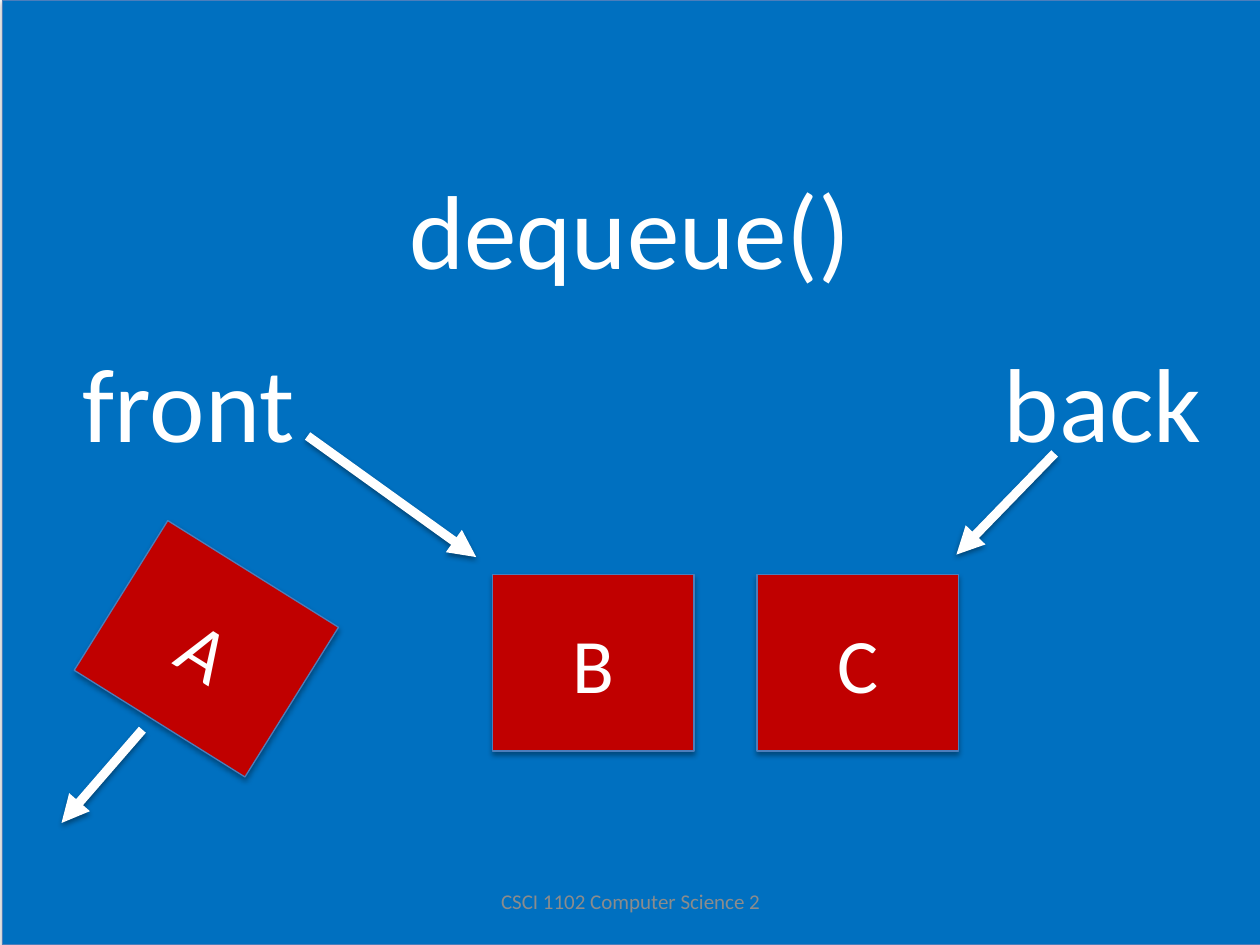
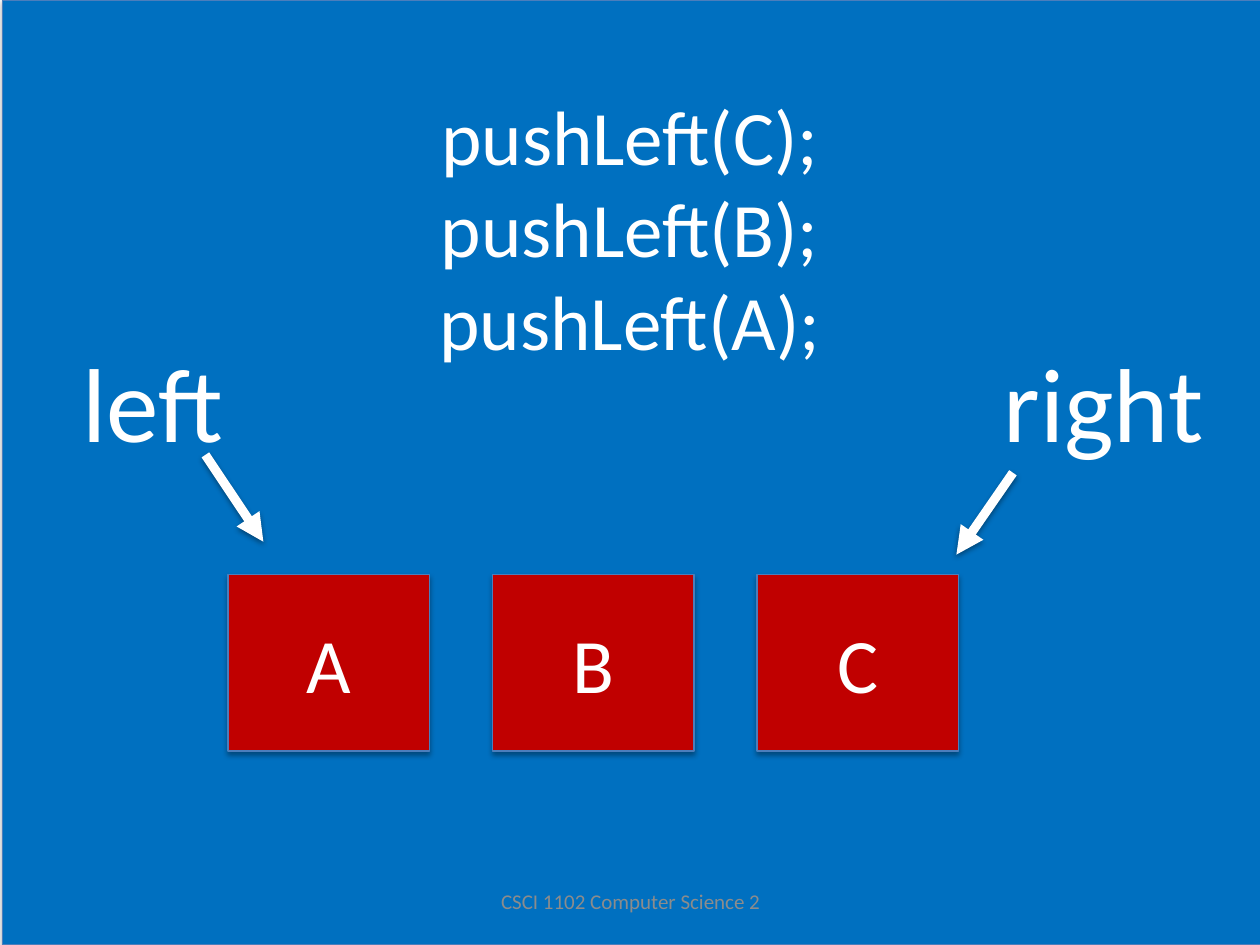
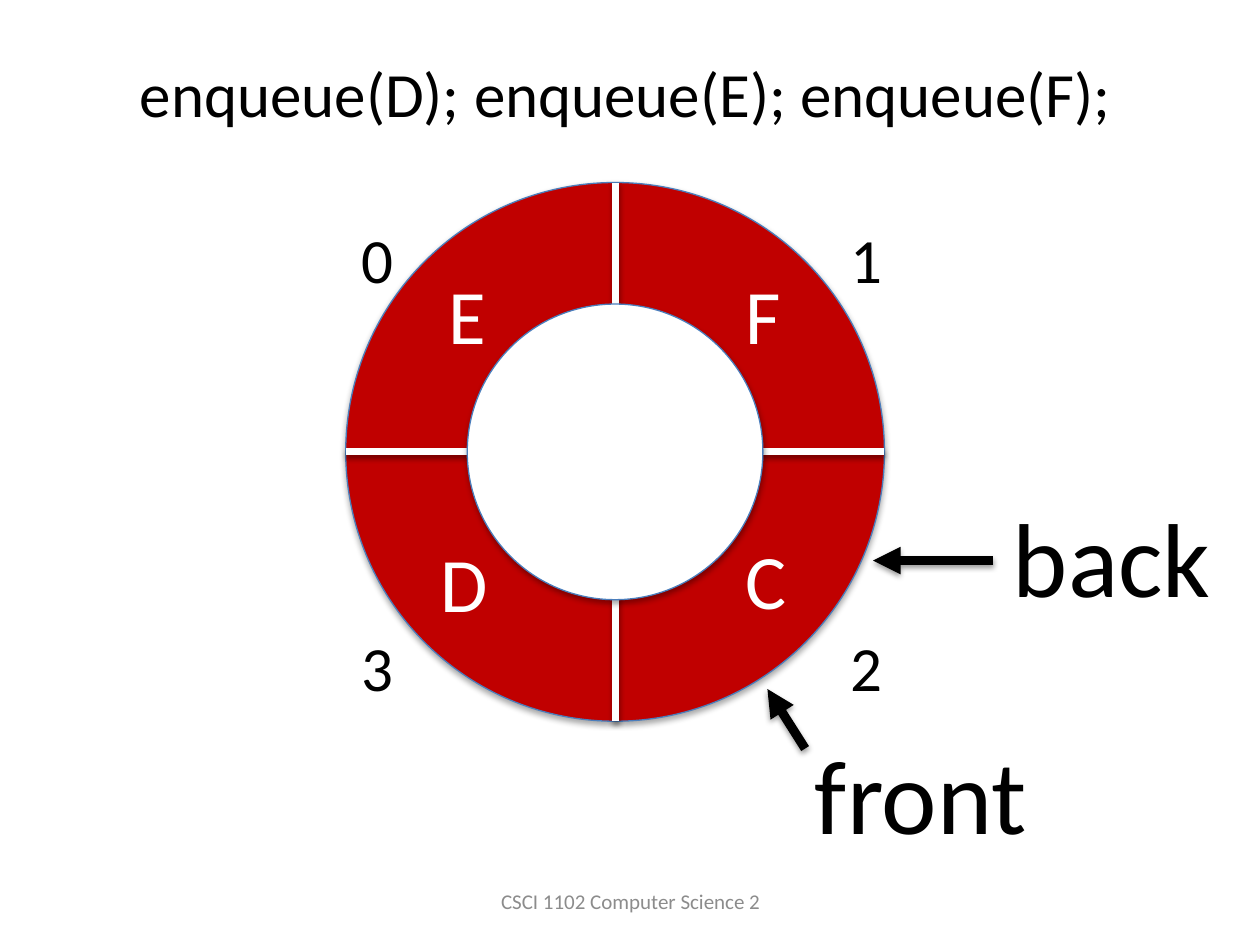
from dataclasses import dataclass
from typing import Any

from lxml import etree
from pptx import Presentation
from pptx.dml.color import RGBColor
from pptx.enum.shapes import MSO_CONNECTOR, MSO_SHAPE
from pptx.enum.text import MSO_ANCHOR, MSO_AUTO_SIZE, PP_ALIGN
from pptx.oxml.ns import qn
from pptx.util import Cm, Pt

RECT = MSO_SHAPE.RECTANGLE
OVAL = MSO_SHAPE.OVAL
STRAIGHT = MSO_CONNECTOR.STRAIGHT
TOP = MSO_ANCHOR.TOP
MIDDLE = MSO_ANCHOR.MIDDLE
LEFT = PP_ALIGN.LEFT
CENTER = PP_ALIGN.CENTER
FIT_SHAPE = MSO_AUTO_SIZE.SHAPE_TO_FIT_TEXT

FONT = "Calibri"
BLUE = "0070C0"
RED = "C00000"
EDGE = "4B7EBC"
WHITE = "FFFFFF"
BLACK = "000000"
GREY = "8C8C8C"

SLIDE_W, SLIDE_H = 25.4, 19.05
BOX_W, BOX_H = 4.06, 3.56
BOX_LEFT, BOX_TOP, BOX_STEP = 4.6, 11.58, 5.33
LABEL_TOP, LABEL_H = 6.68, 3.0
RING_X, RING_Y, RING_R, HOLE_R = 12.4, 9.11, 5.43, 2.98


@dataclass
class Label:
    text: str
    x: float
    y: float
    w: float
    h: float = LABEL_H
    size: int = 60


@dataclass
class Line:
    x1: float
    y1: float
    x2: float
    y2: float


@dataclass
class Box:
    text: str
    x: float
    y: float = BOX_TOP
    rotation: float = 0


def rgb(color: str) -> RGBColor:
    return RGBColor.from_string(color)


def add_shadow(sp: Any, distance: int, opacity: int) -> None:
    effects = etree.SubElement(sp._element.spPr, qn("a:effectLst"))
    outer = etree.SubElement(effects, qn("a:outerShdw"), blurRad="40000",
                             dist=str(distance), dir="5400000", rotWithShape="0")
    color = etree.SubElement(outer, qn("a:srgbClr"), val=BLACK)
    etree.SubElement(color, qn("a:alpha"), val=str(opacity * 1000))


def write(sp: Any, text: str, *, size: int, color: str = WHITE, align: PP_ALIGN = LEFT,
          anchor: MSO_ANCHOR = TOP, wrap: bool = True, spaced: bool = False) -> None:
    tf = sp.text_frame
    tf.word_wrap = wrap
    if not wrap:
        tf.auto_size = FIT_SHAPE
    tf.vertical_anchor = anchor
    p = tf.paragraphs[0]
    p.alignment = align
    if spaced:
        before = etree.SubElement(p._p.get_or_add_pPr(), qn("a:spcBef"))
        etree.SubElement(before, qn("a:spcPct"), val="20000")
    r = p.add_run()
    r.text = text
    r.font.name = FONT
    r.font.size = Pt(size)
    r.font.color.rgb = rgb(color)


def add_text(s: Any, label: Label, **fmt: Any) -> None:
    sp = s.shapes.add_textbox(Cm(label.x), Cm(label.y), Cm(label.w), Cm(label.h))
    write(sp, label.text, size=label.size, **fmt)


def add_solid(s: Any, kind: MSO_SHAPE, x: float, y: float, w: float, h: float,
              fill: str) -> Any:
    sp = s.shapes.add_shape(kind, Cm(x), Cm(y), Cm(w), Cm(h))
    sp.fill.solid()
    sp.fill.fore_color.rgb = rgb(fill)
    sp.line.color.rgb = rgb(EDGE)
    sp.line.width = Pt(0.75)
    add_shadow(sp, 23000, 35)
    return sp


def add_box(s: Any, box: Box) -> None:
    sp = add_solid(s, RECT, box.x, box.y, BOX_W, BOX_H, RED)
    sp.rotation = box.rotation
    write(sp, box.text, size=44, align=CENTER, anchor=MIDDLE)


def add_circle(s: Any, radius: float, fill: str) -> None:
    add_solid(s, OVAL, RING_X - radius, RING_Y - radius, 2 * radius, 2 * radius, fill)


def add_line(s: Any, line: Line, color: str = WHITE, width: float = 5.25,
             arrow: bool = True) -> None:
    sp = s.shapes.add_connector(STRAIGHT, Cm(line.x1), Cm(line.y1), Cm(line.x2), Cm(line.y2))
    sp.line.color.rgb = rgb(color)
    sp.line.width = Pt(width)
    if arrow:
        etree.SubElement(sp.line._get_or_add_ln(), qn("a:tailEnd"), type="triangle")
    add_shadow(sp, 20000, 38)


def add_pointers(s: Any, labels: list[Label], arrows: list[Line], color: str) -> None:
    for label in labels:
        add_text(s, label, color=color, spaced=True)
    for arrow in arrows:
        add_line(s, arrow, color)


def add_slide(prs: Any) -> Any:
    return prs.slides.add_slide(prs.slide_layouts[6])


def add_footer(s: Any) -> None:
    add_text(s, Label("CSCI 1102 Computer Science 2", 8.69, 17.65, 8.05, 1.02, 12),
             color=GREY, align=CENTER, anchor=MIDDLE)


def add_queue_slide(prs: Any, title: str, title_size: int, boxes: list[Box],
                    labels: list[Label], arrows: list[Line]) -> None:
    s = add_slide(prs)
    add_solid(s, RECT, 0.05, 0, SLIDE_W, SLIDE_H, BLUE)
    add_text(s, Label(title, 6.12, 1.52, 13.16, 6.12, title_size),
             align=CENTER, anchor=MIDDLE, spaced=True)
    add_footer(s)
    for box in boxes:
        add_box(s, box)
    add_pointers(s, labels, arrows, WHITE)


def add_ring_slide(prs: Any) -> None:
    s = add_slide(prs)
    add_footer(s)
    add_circle(s, RING_R, RED)
    for dx, dy in ((0, RING_R), (RING_R, 0)):
        add_line(s, Line(RING_X - dx, RING_Y - dy, RING_X + dx, RING_Y + dy),
                 width=4, arrow=False)
    add_circle(s, HOLE_R, WHITE)
    corners = ((7.04, 4.32), (16.89, 4.32), (16.89, 12.55), (7.04, 12.55))
    for index, (x, y) in enumerate(corners):
        add_text(s, Label(str(index), x, y, 1.17, 1.8, 36), color=BLACK, wrap=False)
    for text, x, y, w in (("E", 8.79, 5.26, 1.27), ("F", 14.78, 5.26, 1.24),
                          ("C", 14.78, 10.62, 1.35), ("D", 8.64, 10.67, 1.47)):
        add_text(s, Label(text, x, y, w, 2.13, 44), wrap=False)
    add_pointers(
        s,
        [Label("front", 16.18, 14.58, 5.69), Label("back", 20.17, 9.8, 4.8)],
        [Line(20.02, 11.3, 17.6, 11.3), Line(16.23, 15.09, 15.47, 13.89)],
        BLACK,
    )
    add_text(s, Label("enqueue(D); enqueue(E); enqueue(F);", 2.57, 0.97, 20.24, 1.8, 36),
             color=BLACK, wrap=False)


def main() -> None:
    prs = Presentation()
    prs.slide_width, prs.slide_height = Cm(SLIDE_W), Cm(SLIDE_H)
    box_a, box_b, box_c = [Box(text, BOX_LEFT + i * BOX_STEP) for i, text in enumerate("ABC")]
    add_queue_slide(
        prs, "dequeue()", 60,
        [Box("A", 2.13, 11.3, 32), box_b, box_c],
        [Label("front", 1.42, LABEL_TOP, 5.69), Label("back", 19.99, LABEL_TOP, 4.78)],
        [Line(6.2, 8.79, 9.6, 11.23), Line(21.26, 9.14, 19.28, 11.18),
         Line(2.87, 14.71, 1.24, 16.59)],
    )
    add_queue_slide(
        prs, "pushLeft(C); pushLeft(B); pushLeft(A);", 44,
        [box_a, box_b, box_c],
        [Label("left", 1.42, LABEL_TOP, 3.43), Label("right", 19.99, LABEL_TOP, 4.78)],
        [Line(4.14, 9.17, 5.31, 10.92), Line(20.42, 9.53, 19.28, 11.18)],
    )
    add_ring_slide(prs)
    prs.save("out.pptx")


if __name__ == "__main__":
    main()
